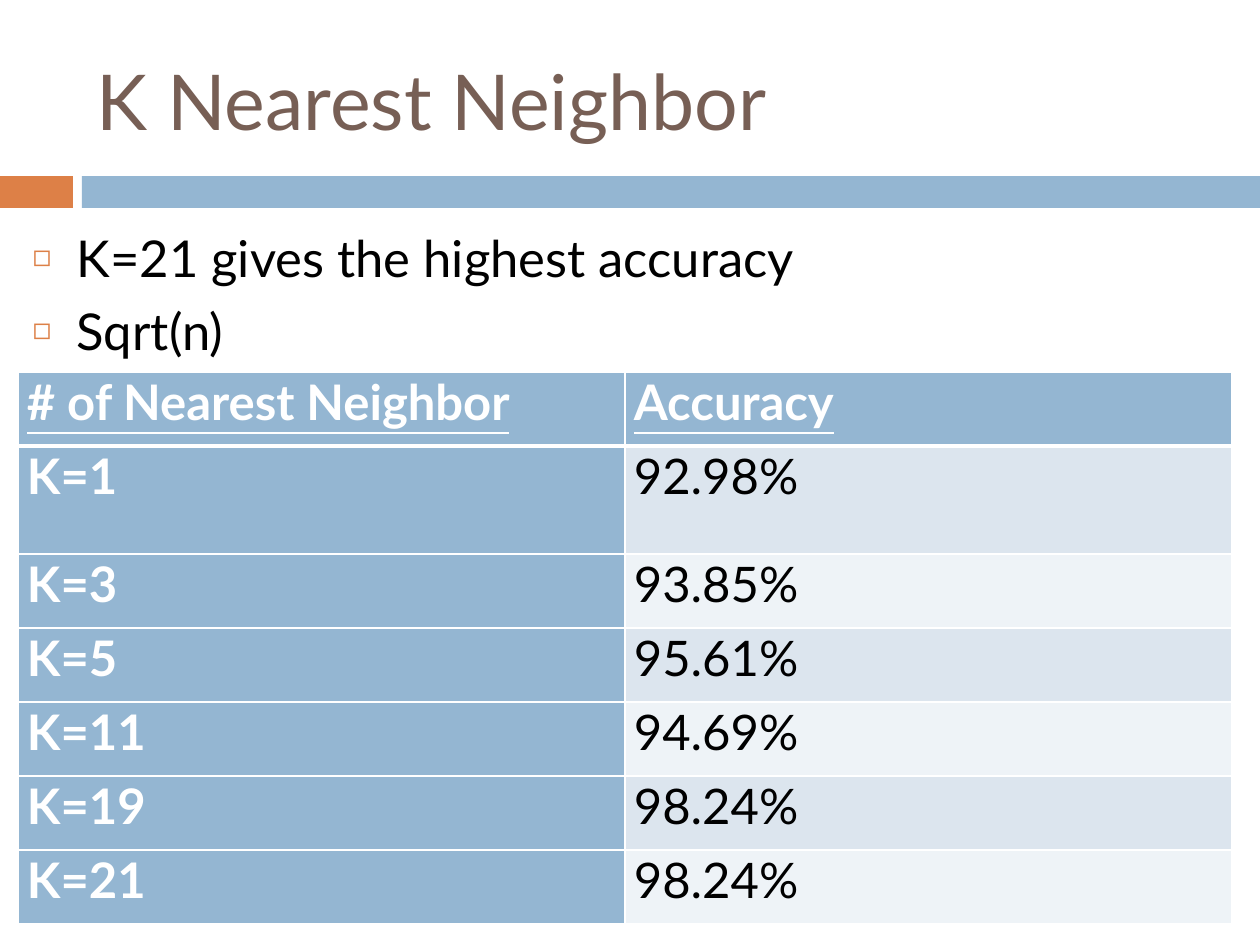
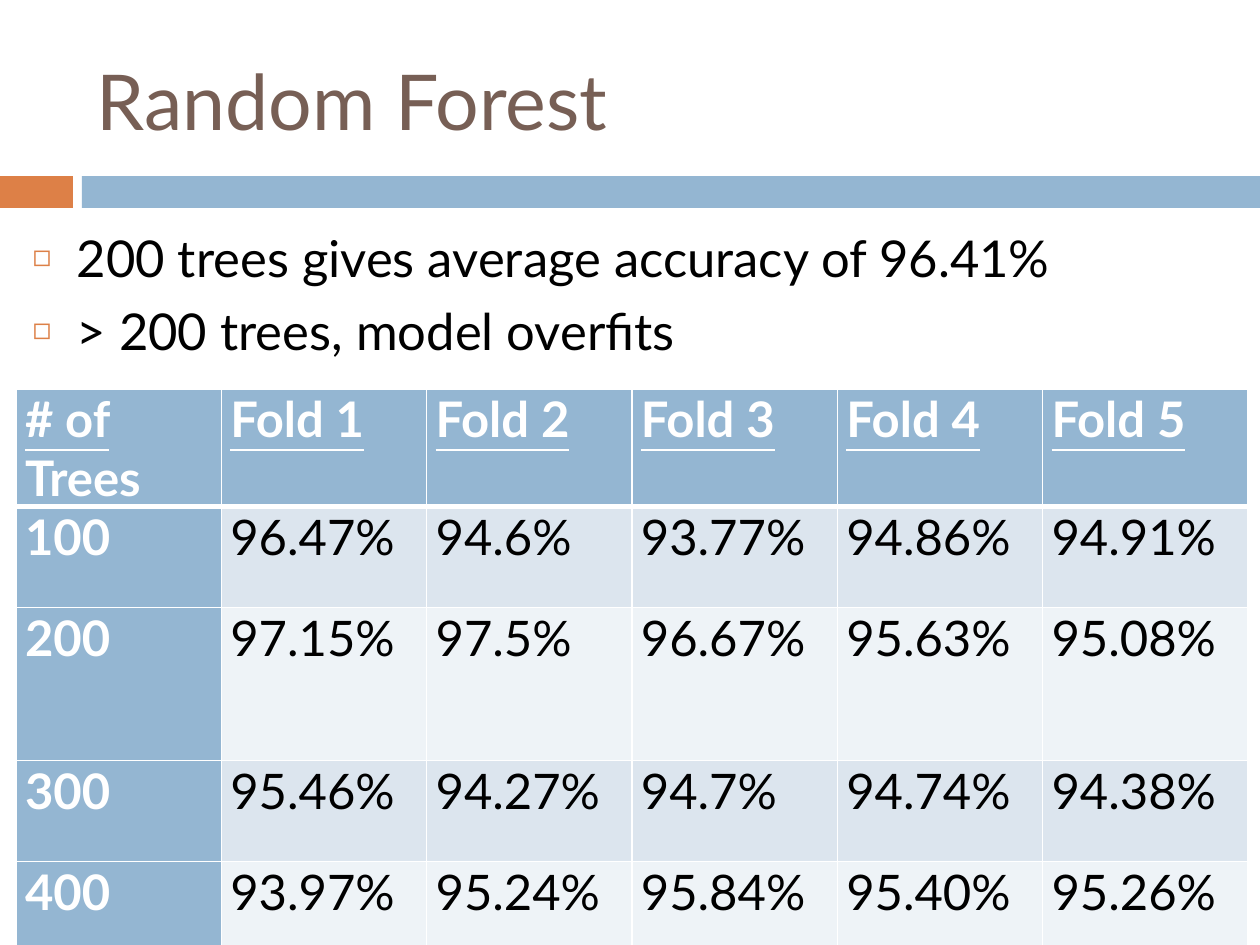
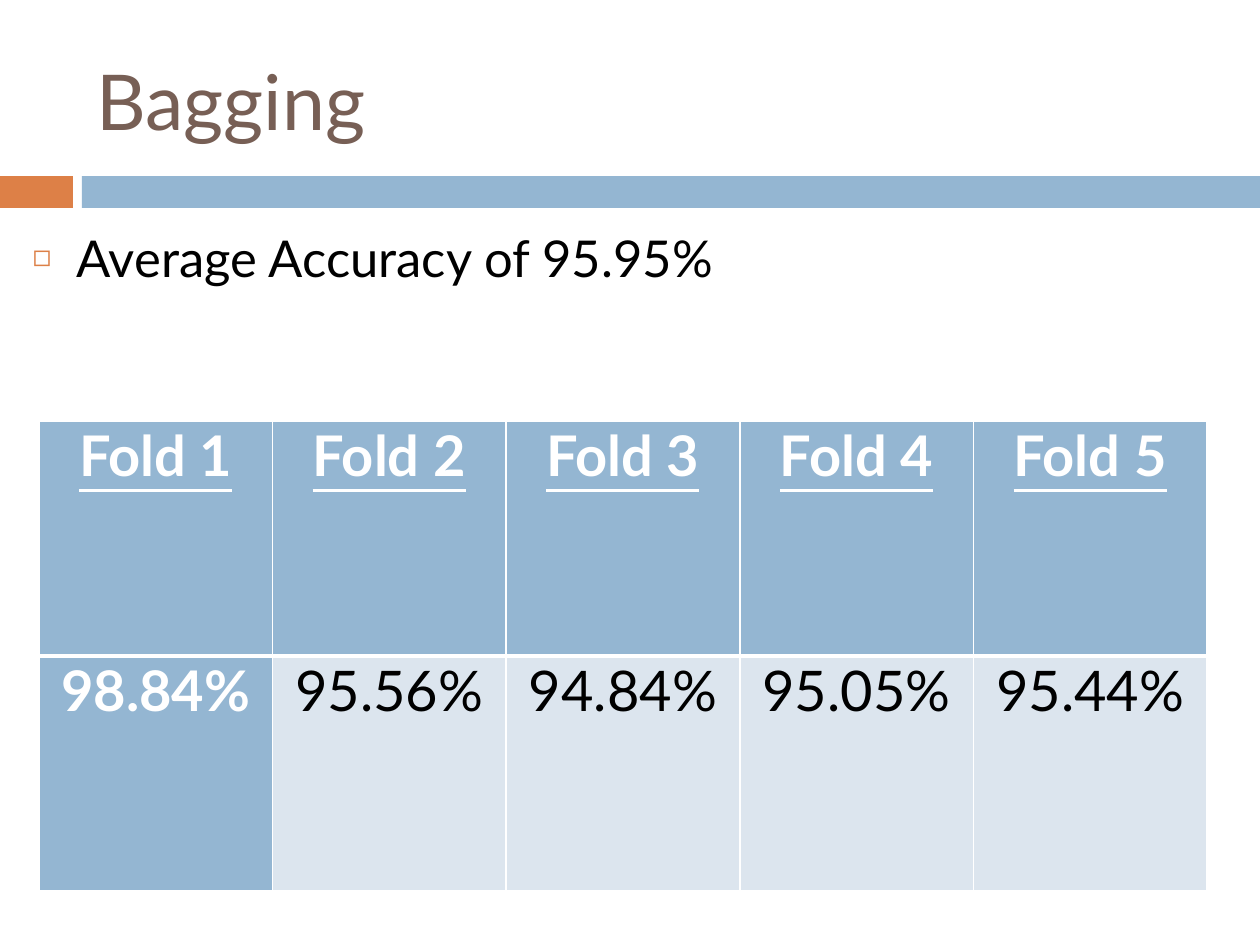
"""Build three slides of classifier results, each with a title, bullets and a table."""
import pptx
import pptx.dml.color
import pptx.enum.shapes
import pptx.enum.text
import pptx.oxml.ns
import pptx.util
import lxml.etree

SCALE = 914400 / 126
FONT = "Lato"
WHITE, BLACK, BROWN = "FFFFFF", "000000", "775F55"
BLUE, ORANGE = "94B6D2", "DD8047"
STRIPES = "DCE5EE", "EEF3F7"
BANDS = [((0, 176, 73, 32), ORANGE), ((82, 176, 1178, 32), BLUE)]
TITLE = 84, 32, 1124, 136
LEFT = pptx.enum.text.PP_ALIGN.LEFT
CENTER = pptx.enum.text.PP_ALIGN.CENTER
FOLDS = [f"Fold {n}" for n in range(1, 6)]

SLIDES = [
    {
        "title": "K Nearest Neighbor",
        "points": ["K=21 gives the highest accuracy", "Sqrt(n)"],
        "body": (20, 220, 1187, 169),
        "grid": (18, 372, 1214),
        "rows": [74, 108, 74, 74, 74, 74, 74],
        "size": 28,
        "align": LEFT,
        "cells": [
            ["# of Nearest Neighbor", "Accuracy"],
            ["K=1", "92.98%"],
            ["K=3", "93.85%"],
            ["K=5", "95.61%"],
            ["K=11", "94.69%"],
            ["K=19", "98.24%"],
            ["K=21", "98.24%"],
        ],
    },
    {
        "title": "Random Forest",
        "points": ["200 trees gives average accuracy of 96.41%",
                   "> 200 trees, model overfits"],
        "body": (20, 220, 1187, 200),
        "grid": (16, 389, 1232),
        "rows": [101, 101, 153, 101, 101],
        "size": 28,
        "align": LEFT,
        "cells": [
            ["# of Trees"] + FOLDS,
            ["100", "96.47%", "94.6%", "93.77%", "94.86%", "94.91%"],
            ["200", "97.15%", "97.5%", "96.67%", "95.63%", "95.08%"],
            ["300", "95.46%", "94.27%", "94.7%", "94.74%", "94.38%"],
            ["400", "93.97%", "95.24%", "95.84%", "95.40%", "95.26%"],
        ],
    },
    {
        "title": "Bagging",
        "points": ["Average Accuracy of 95.95%"],
        "body": (20, 220, 1187, 200),
        "grid": (39, 421, 1168),
        "rows": [235, 235],
        "size": 32,
        "align": CENTER,
        "cells": [
            FOLDS,
            ["98.84%", "95.56%", "94.84%", "95.05%", "95.44%"],
        ],
    },
]


def px(n):
    return pptx.util.Emu(round(n * SCALE))


def rgb(code):
    return pptx.dml.color.RGBColor.from_string(code)


def paint(fill, code):
    fill.solid()
    fill.fore_color.rgb = rgb(code)


def place(shape, box):
    shape.left, shape.top, shape.width, shape.height = map(px, box)


def node(base, tag, **attrs):
    return lxml.etree.SubElement(base, pptx.oxml.ns.qn(tag), attrs)


def write(frame, lines, size, color, align=LEFT, bold=False, under=False, before=0):
    for i, line in enumerate(lines):
        para = frame.add_paragraph() if i else frame.paragraphs[0]
        para.alignment = align
        para.space_before = pptx.util.Pt(before)
        run = para.add_run()
        run.text = line
        font = run.font
        font.name, font.size = FONT, pptx.util.Pt(size)
        font.bold, font.underline = bold, under
        font.color.rgb = rgb(color)


def bullet(para):
    props = para._p.get_or_add_pPr()
    props.set("marL", str(px(44)))
    props.set("indent", str(px(-44)))
    node(node(props, "a:buClr"), "a:srgbClr", val=ORANGE)
    node(props, "a:buSzPct", val="60000")
    node(props, "a:buChar", char="◻")


def border(cell, top, base):
    props = cell._tc.get_or_add_tcPr()
    for side, width in zip("LRTB", (1, 1, top, base)):
        line = node(props, f"a:ln{side}", w=str(pptx.util.Pt(width)))
        node(node(line, "a:solidFill"), "a:srgbClr", val=WHITE)


def frame(slide, title):
    for box, color in BANDS:
        band = slide.shapes.add_shape(
            pptx.enum.shapes.MSO_SHAPE.RECTANGLE, *map(px, box))
        band.shadow.inherit = False
        paint(band.fill, color)
        band.line.fill.background()
    head = slide.shapes.title
    place(head, TITLE)
    head.text_frame.vertical_anchor = pptx.enum.text.MSO_ANCHOR.MIDDLE
    write(head.text_frame, [title], size=44, color=BROWN)


def points(slide, lines, box):
    body = slide.placeholders[1]
    place(body, box)
    text = body.text_frame
    text.auto_size = pptx.enum.text.MSO_AUTO_SIZE.NONE
    write(text, lines, size=29, color=BLACK, before=7)
    for para in text.paragraphs:
        bullet(para)


def grid(slide, data):
    cells, rows = data["cells"], data["rows"]
    left, top, width = data["grid"]
    count = len(cells[0])
    table = slide.shapes.add_table(
        len(cells), count, *map(px, (left, top, width, sum(rows)))).table
    table.first_col = True
    for col in table.columns:
        col.width = px(width / count)
    for r, line in enumerate(cells):
        table.rows[r].height = px(rows[r])
        for c, text in enumerate(line):
            cell = table.cell(r, c)
            key = r == 0 or c == 0
            cell.margin_left = cell.margin_right = px(9)
            cell.margin_top = cell.margin_bottom = 0
            border(cell, 3 if r == 1 else 1, 3 if r == 0 else 1)
            paint(cell.fill, BLUE if key else STRIPES[(r - 1) % 2])
            write(cell.text_frame, [text], size=data["size"], align=data["align"],
                  color=WHITE if key else BLACK, bold=key, under=r == 0)


deck = pptx.Presentation()
deck.slide_width, deck.slide_height = px(1260), px(945)
for data in SLIDES:
    slide = deck.slides.add_slide(deck.slide_layouts[1])
    frame(slide, data["title"])
    points(slide, data["points"], data["body"])
    grid(slide, data)
deck.save("out.pptx")
